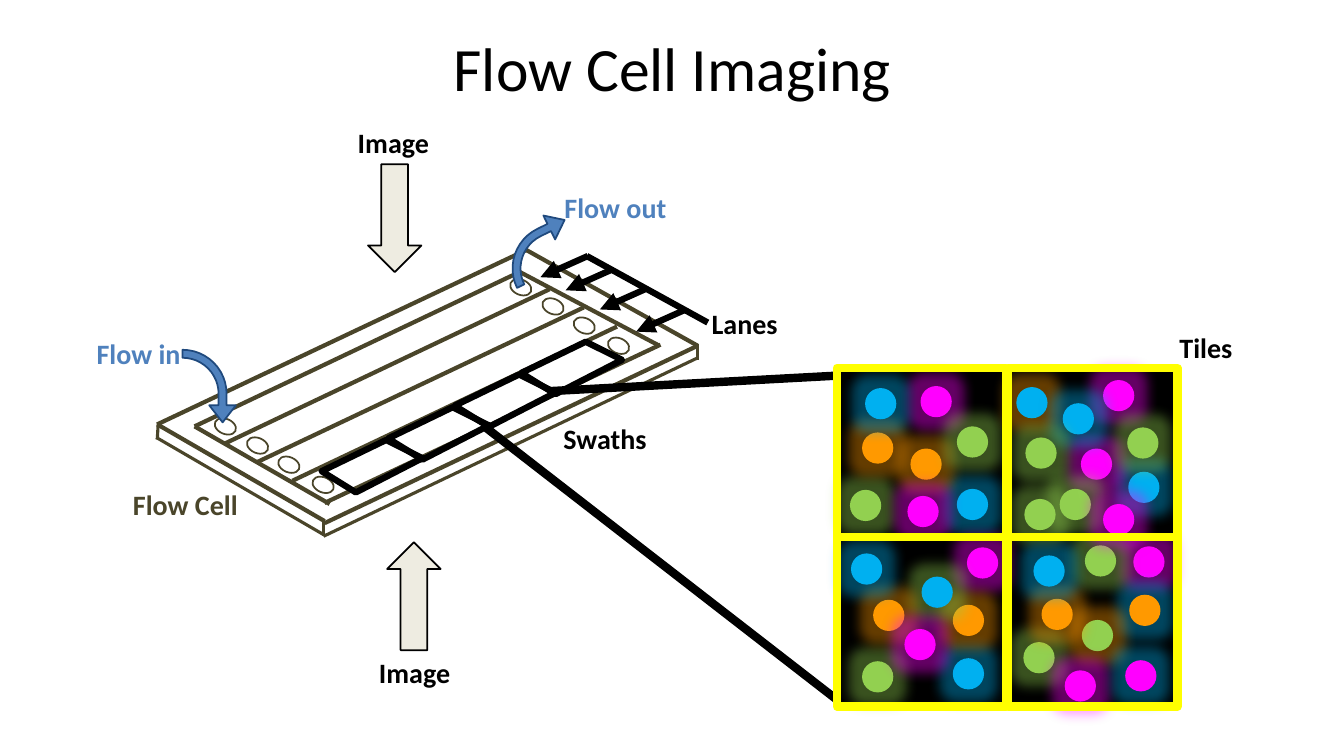
from lxml import etree
from pptx import Presentation
from pptx.dml.color import RGBColor
from pptx.enum.shapes import MSO_CONNECTOR, MSO_SHAPE
from pptx.enum.text import MSO_ANCHOR, PP_ALIGN
from pptx.oxml.ns import qn
from pptx.util import Inches, Pt

STRAIGHT = MSO_CONNECTOR.STRAIGHT
RECT, OVAL = MSO_SHAPE.RECTANGLE, MSO_SHAPE.OVAL
DOWN_ARROW, BENT_ARROW = MSO_SHAPE.DOWN_ARROW, MSO_SHAPE.BENT_ARROW
TOP, MIDDLE = MSO_ANCHOR.TOP, MSO_ANCHOR.MIDDLE
LEFT, CENTER = PP_ALIGN.LEFT, PP_ALIGN.CENTER

BLACK = RGBColor(0x00, 0x00, 0x00)
OLIVE = RGBColor(0x4A, 0x45, 0x2A)
CREAM = RGBColor(0xEE, 0xEC, 0xE1)
BLUE = RGBColor(0x4F, 0x81, 0xBD)
NAVY = RGBColor(0x1F, 0x49, 0x7D)
YELLOW = RGBColor(0xFF, 0xFF, 0x00)
MAGENTA = RGBColor(0xFF, 0x00, 0xFF)
CYAN = RGBColor(0x00, 0xB0, 0xF0)
ORANGE = RGBColor(0xFF, 0x99, 0x00)
GREEN = RGBColor(0x92, 0xD0, 0x50)

prs = Presentation()
prs.slide_width, prs.slide_height = Inches(13.33), Inches(7.5)
slide = prs.slides.add_slide(prs.slide_layouts[6])
shapes = slide.shapes


def add_text(text, x, y, w, h=0.44, size=20, bold=True, color=BLACK,
             align=LEFT, anchor=TOP, wrap=False):
    box = shapes.add_textbox(Inches(x), Inches(y), Inches(w), Inches(h))
    frame = box.text_frame
    frame.word_wrap = wrap
    frame.vertical_anchor = anchor
    paragraph = frame.paragraphs[0]
    paragraph.text = text
    paragraph.alignment = align
    font = paragraph.font
    font.name, font.size, font.bold = "Calibri", Pt(size), bold
    font.color.rgb = color


def style(item, fill=None, line=None, width=1.25, arrow=False, round_join=False):
    """Set fill, outline and line ends of a shape or connector; no shadow."""
    if hasattr(item, "fill"):
        item.shadow.inherit = False
        if fill is None:
            item.fill.background()
        else:
            item.fill.solid()
            item.fill.fore_color.rgb = fill
    else:
        etree.SubElement(item._element.spPr, qn("a:effectLst"))
    if line is None:
        item.line.fill.background()
        return
    item.line.color.rgb = line
    item.line.width = Pt(width)
    ln = item.line._get_or_add_ln()
    if round_join:
        etree.SubElement(ln, qn("a:round"))
    if arrow:
        etree.SubElement(ln, qn("a:tailEnd"), type="triangle")


add_text("Flow Cell Imaging", 0.67, 0.04, 12, 1.25, size=44, bold=False,
         align=CENTER, anchor=MIDDLE, wrap=True)

# Imaging from above and below
for x, y, angle in [(3.65, 1.63, 0), (3.84, 5.38, 180)]:
    image_arrow = shapes.add_shape(DOWN_ARROW, Inches(x), Inches(y), Inches(0.53), Inches(1.07))
    image_arrow.rotation = angle
    style(image_arrow, CREAM, BLACK)
add_text("Image", 3.45, 1.2, 1.04)
add_text("Image", 3.66, 6.45, 1.06)

# Flow cell: inner frame, lane walls, outer top face, then the thin glass edge
cell_edges = [
    (3.22, 4.99, 6.55, 3.42, 3), (6.54, 3.43, 5.14, 2.69, 3),
    (1.93, 4.23, 5.15, 2.7, 3), (3.27, 5, 1.93, 4.23, 3),
    (2.23, 4.4, 5.45, 2.87, 3), (2.56, 4.58, 5.79, 3.05, 3),
    (2.9, 4.77, 6.12, 3.24, 3),
    (3.22, 5.19, 6.92, 3.43, 3), (6.92, 3.43, 5.22, 2.48, 3),
    (1.56, 4.21, 5.22, 2.48, 3), (3.22, 5.17, 1.56, 4.21, 3),
    (1.57, 4.19, 1.56, 4.36, 2.25), (1.55, 4.34, 3.22, 5.31, 2.25),
    (3.21, 5.16, 3.21, 5.32, 2.25), (3.21, 5.32, 6.92, 3.55, 2.25),
    (6.92, 3.41, 6.92, 3.57, 2.25),
]
for x1, y1, x2, y2, width in cell_edges:
    edge = shapes.add_connector(STRAIGHT, Inches(x1), Inches(y1), Inches(x2), Inches(y2))
    style(edge, line=OLIVE, width=width)

# Ports: the inlet of each lane, and its outlet at the far end
for dx, dy in [(0, 0), (2.93, -1.38)]:
    for x, y in [(2.16, 4.12), (2.48, 4.31), (2.79, 4.5), (3.13, 4.7)]:
        port = shapes.add_shape(OVAL, Inches(x + dx), Inches(y + dy), Inches(0.15), Inches(0.22))
        port.rotation = 292.8
        style(port, line=OLIVE)

# Flow in and out
for x, y, angle in [(1.715, 3.565, 90), (4.975, 2.195, 333.9)]:
    flow_arrow = shapes.add_shape(BENT_ARROW, Inches(x), Inches(y), Inches(0.72), Inches(0.53))
    flow_arrow.rotation = angle
    for i, value in enumerate([0.15, 0.25, 0.32, 0.83]):
        flow_arrow.adjustments[i] = value
    style(flow_arrow, BLUE, NAVY)
add_text("Flow in", 0.86, 3.29, 1.04, color=BLUE)
add_text("Flow out", 5.5, 1.84, 1.22, color=BLUE)

# Tiles with glowing clusters: x, y, colour and, where it differs, glow colour
add_text("Tiles", 11.6, 3.23, 0.73)
backdrop = shapes.add_shape(RECT, Inches(8.31), Inches(3.69), Inches(3.34), Inches(3.34))
style(backdrop, BLACK)
tiles = [
    (8.32, 3.69, [
        (9.13, 3.83, MAGENTA), (9.49, 4.85, CYAN), (9.03, 4.45, ORANGE),
        (9.49, 4.23, GREEN), (8.43, 4.86, GREEN), (8.55, 4.29, ORANGE),
        (9, 4.92, MAGENTA), (8.58, 3.85, CYAN)]),
    (9.98, 5.35, [
        (11.24, 5.42, MAGENTA), (11.2, 5.9, ORANGE, CYAN), (10.73, 6.15, GREEN, ORANGE),
        (10.76, 5.41, GREEN), (10.15, 6.37, GREEN), (10.33, 5.94, ORANGE),
        (10.56, 6.65, MAGENTA), (10.25, 5.51, CYAN), (11.16, 6.55, MAGENTA, CYAN)]),
    (10, 3.69, [
        (10.94, 3.77, MAGENTA), (11.19, 4.68, CYAN), (10.72, 4.45, MAGENTA),
        (11.18, 4.24, GREEN), (10.51, 4.85, GREEN), (10.08, 3.84, CYAN, ORANGE),
        (10.94, 5, MAGENTA), (10.54, 4, CYAN), (10.16, 4.95, GREEN),
        (10.17, 4.34, GREEN)]),
    (8.31, 5.35, [
        (9.59, 5.43, MAGENTA), (9.45, 6.53, CYAN), (9.45, 6, ORANGE),
        (9.14, 5.72, CYAN, GREEN), (8.55, 6.56, GREEN), (8.66, 5.95, ORANGE),
        (8.97, 6.24, MAGENTA), (8.44, 5.49, CYAN)]),
]
for tile_x, tile_y, clusters in tiles:
    tile = shapes.add_shape(RECT, Inches(tile_x), Inches(tile_y), Inches(1.65), Inches(1.65))
    style(tile, BLACK, BLACK)
    for x, y, color, *glow_color in clusters:
        cluster = shapes.add_shape(OVAL, Inches(x), Inches(y), Inches(0.31), Inches(0.31))
        style(cluster, color)
        effects = cluster._element.spPr.find(qn("a:effectLst"))
        glow = etree.SubElement(effects, qn("a:glow"), rad=str(Pt(18)))
        tint = etree.SubElement(glow, qn("a:srgbClr"), val=str((glow_color or [color])[0]))
        etree.SubElement(tint, qn("a:alpha"), val="40000")

# Lanes: four arrows from one rail
add_text("Lanes", 6.96, 2.99, 0.86)
for x, y in [(5.83, 2.54), (6.08, 2.67), (6.42, 2.86), (6.78, 3.08)]:
    lane_arrow = shapes.add_connector(STRAIGHT, Inches(x), Inches(y),
                                      Inches(x - 0.47), Inches(y + 0.21))
    style(lane_arrow, line=BLACK, width=4.5, arrow=True)
rail = shapes.add_connector(STRAIGHT, Inches(5.82), Inches(2.54), Inches(7.02), Inches(3.2))
style(rail, line=BLACK, width=4.5)

# Swaths: four equal steps along the lane
swath_corners = [(5.81, 3.39), (6.17, 3.57), (5.51, 3.91), (5.17, 3.7)]
for step in range(4):
    corners = [(Inches(x - 0.66 * step), Inches(y + 0.325 * step)) for x, y in swath_corners]
    outline = shapes.build_freeform(*corners[0])
    outline.add_line_segments(corners[1:], close=True)
    style(outline.convert_to_shape(), line=BLACK, width=4.5)
add_text("Swaths", 5.49, 4.13, 1.03)

# Zoom lines from one swath to the tiles
for x1, y1, x2, y2 in [(4.79, 4.22, 8.35, 6.98), (5.46, 3.88, 8.43, 3.72)]:
    zoom = shapes.add_connector(STRAIGHT, Inches(x1), Inches(y1), Inches(x2), Inches(y2))
    style(zoom, line=BLACK, width=6)

# Tile frames
for y in (5.33, 3.65):
    for x in (10, 8.3):
        tile_frame = shapes.add_shape(RECT, Inches(x), Inches(y), Inches(1.68), Inches(1.68))
        style(tile_frame, line=YELLOW, width=6, round_join=True)

add_text("Flow Cell", 1.22, 4.79, 1.25, color=OLIVE)

prs.save("out.pptx")
